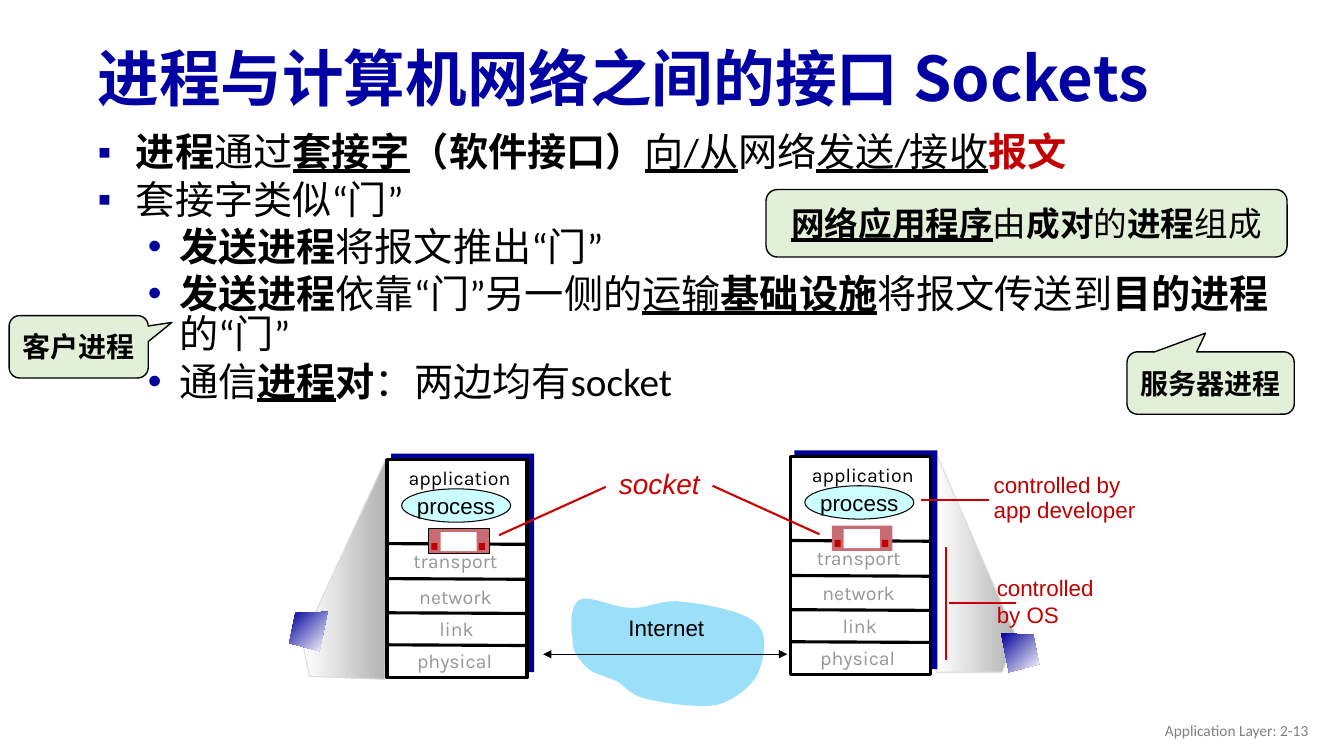
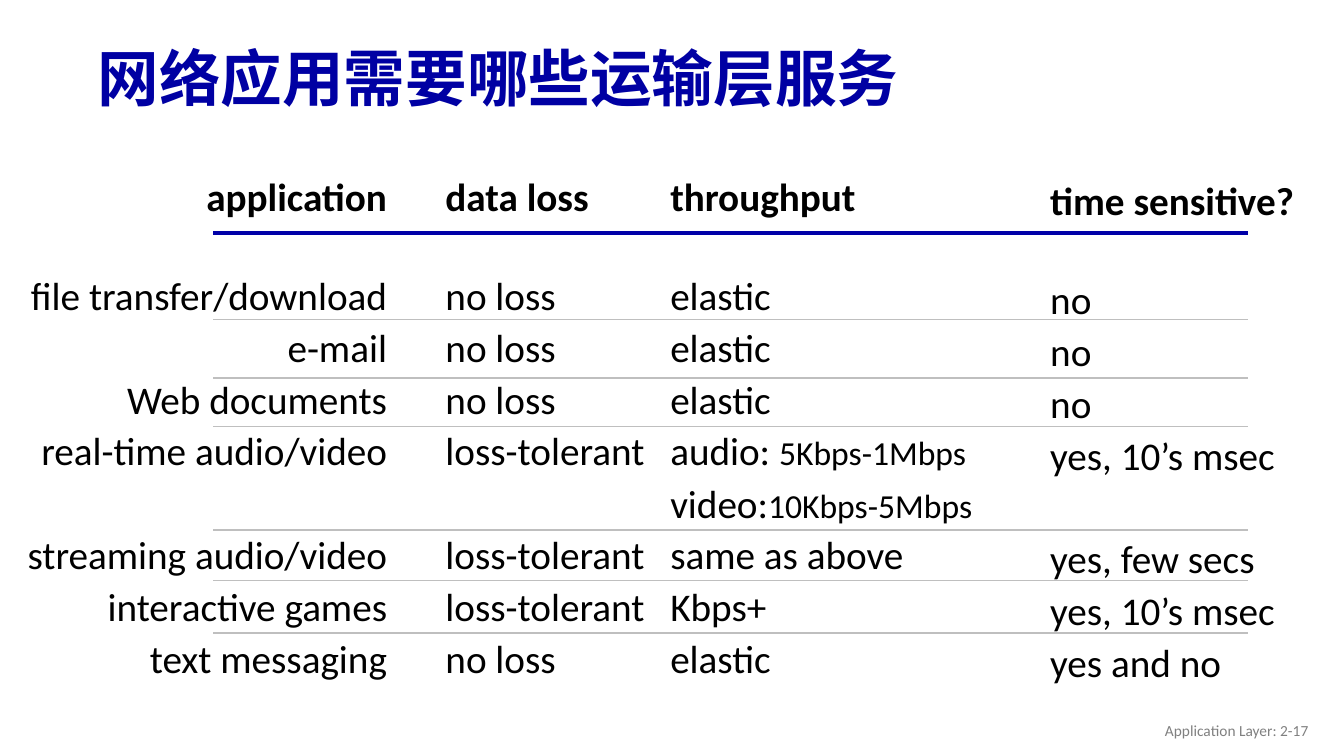
from lxml.etree import SubElement
from pptx import Presentation
from pptx.dml.color import RGBColor
from pptx.enum.shapes import MSO_CONNECTOR, MSO_SHAPE
from pptx.enum.text import MSO_ANCHOR, PP_ALIGN
from pptx.oxml.ns import qn
from pptx.util import Pt

COLORS = {
    "title": "0000A3", "navy": "000099", "rule": "0000A8", "black": "000000",
    "white": "FFFFFF", "red": "C00000", "wire": "CC0000", "muted": "969696",
    "footer": "808080", "row": "BFBFBF", "note": "E2F0D9", "cloud": "9CDFF9",
    "process": "CCFFFF", "door": "C96B72", "shade": "B2B2B2", "edge": "DDDDDD",
}
BULLETS = [("▪", 27.4, 27.4), ("•", 58.3, 22.3)]
MIDDLE = MSO_ANCHOR.MIDDLE
CENTER = PP_ALIGN.CENTER


def write(frame, paragraphs, size, font="Calibri", color="black", bold=False, italic=False,
          align=None, anchor=None, wrap=True, spacing=None, before=0, levels=()):
    if wrap is not None:
        frame.word_wrap = wrap
    if anchor is not None:
        frame.vertical_anchor = anchor
    for index, spans in enumerate(paragraphs):
        para = frame.add_paragraph() if index else frame.paragraphs[0]
        para.alignment = align
        para.line_spacing = spacing
        if index and before:
            para.space_before = Pt(before)
        if levels:
            mark, margin, hanging = BULLETS[levels[index]]
            para.level = levels[index]
            props = para._p.get_or_add_pPr()
            props.set("marL", str(Pt(margin)))
            props.set("indent", str(-Pt(hanging)))
            SubElement(SubElement(props, qn("a:buClr")), qn("a:srgbClr"), val=COLORS["navy"])
            SubElement(props, qn("a:buFont"), typeface="Arial")
            SubElement(props, qn("a:buChar"), char=mark)
        for text, marks, *own_size in [(spans, "")] if isinstance(spans, str) else spans:
            span = para.add_run()
            span.text = text
            span.font.size = Pt(own_size[0] if own_size else size)
            span.font.bold = bold or "b" in marks
            span.font.italic = italic
            span.font.underline = "u" in marks
            span.font.name = font
            span.font.color.rgb = RGBColor.from_string(COLORS["red" if "r" in marks else color])
            SubElement(span._r.get_or_add_rPr(), qn("a:ea"), typeface=font)


def paint(shape, fill=None, line=None, weight=0.75, arrows=False):
    if isinstance(fill, tuple):
        *ends, angle = fill
        shape.fill.gradient()
        shape.fill.gradient_angle = angle
        for stop, color, position in zip(shape.fill.gradient_stops, ends, (0, 1)):
            stop.color.rgb = RGBColor.from_string(COLORS[color])
            stop.position = position
    elif fill:
        shape.fill.solid()
        shape.fill.fore_color.rgb = RGBColor.from_string(COLORS[fill])
    if line:
        shape.line.color.rgb = RGBColor.from_string(COLORS[line])
        shape.line.width = Pt(weight)
    else:
        shape.line.fill.background()
    if arrows:
        for end in ("a:headEnd", "a:tailEnd"):
            SubElement(shape.line._get_or_add_ln(), qn(end), type="triangle")
    SubElement(shape.element.spPr, qn("a:effectLst"))


deck = Presentation()
deck.slide_width, deck.slide_height = Pt(960), Pt(540)
pages = []
for title, number in [("进程与计算机网络之间的接口 Sockets", "2-13"), ("网络应用需要哪些运输层服务", "2-17")]:
    page = deck.slides.add_slide(deck.slide_layouts[6])
    box = page.shapes.add_textbox(*map(Pt, (62.6, 23, 828, 70.6)))
    write(box.text_frame, [title], 44, font="Noto Sans CJK SC", color="title", bold=True,
          anchor=MIDDLE, spacing=0.9)
    box = page.shapes.add_textbox(*map(Pt, (725.8, 507.6, 216, 28.8)))
    write(box.text_frame, [f"Application Layer: {number}"], 11, color="footer",
          align=PP_ALIGN.RIGHT, anchor=MIDDLE)
    pages.append(page)
socket_page, service_page = pages

shapes = socket_page.shapes
box = shapes.add_textbox(*map(Pt, (62.6, 92.9, 863.3, 183.6)))
write(box.text_frame, [
    [("进程", "b"), ("通过", ""), ("套接字", "bu"), ("（软件接口）", "b"), ("向/从", "u"),
     ("网络", ""), ("发送/接收", "u"), ("报文", "br")],
    "套接字类似“门”",
    [("发送进程", "b"), ("将报文推出“门”", "")],
    [("发送进程", "b"), ("依靠“门”另一侧的", ""), ("运输", "u"), ("基础设施", "bu"),
     ("将报文传送到", ""), ("目的进程", "b"), ("的“门”", "")],
    [("通信", ""), ("进程", "bu"), ("对", "b"), ("：两边均有socket", "")],
], 28, spacing=0.85, before=5.2, levels=(0, 0, 1, 1, 1))

cloud_start = (409, 456.5)
cloud_curves = [
    [(407.5, 448.6), (406.8, 432), (414, 428.4)], [(421.2, 424.8), (438.5, 434.2), (450.7, 434.2)],
    [(463, 434.9), (472.3, 427.7), (487.4, 429.8)], [(502.6, 431.3), (531.4, 436.3), (540, 445)],
    [(549.4, 452.9), (545.8, 470.9), (541.4, 481)], [(536.4, 490.3), (525.6, 499.7), (512.6, 503.3)],
    [(499, 506.2), (473, 502), (460.8, 499)], [(449.3, 496), (447, 490.3), (440.6, 486.7)],
    [(433.4, 483), (424, 481.7), (419, 476.6)], [(414, 471.6), (408.2, 465), (409, 456.5)],
]
cloud = [cloud_start]
for first, second, end in cloud_curves:
    start = cloud[-1]
    for step in range(1, 11):
        t = step / 10
        cloud.append(tuple((1 - t) ** 3 * a + 3 * t * (1 - t) ** 2 * b + 3 * t * t * (1 - t) * c + t ** 3 * d
                           for a, b, c, d in zip(start, first, second, end)))

beam = ("white", "shade", 0)
host = ("navy", "white", 315)
outlines = [
    ([(725.8, 455), (668.2, 322.6), (668.9, 480.2), (715.7, 480.2)], beam, "edge"),
    ([(216, 457.9), (275.8, 327.6), (275, 485.3), (221, 483.1)], beam, "edge"),
    (cloud, "cloud", None),
    ([(234, 437), (211, 437.8), (206.6, 459.4), (228.2, 465.1)], host, None),
    ([(715, 452.2), (738, 453.6), (742.3, 474.5), (720.7, 480.2)], host, None),
]
for points, fill, line in outlines:
    points = [(Pt(x), Pt(y)) for x, y in points]
    outline = shapes.build_freeform(*points[0], scale=1.0)
    outline.add_line_segments(points[1:], close=True)
    paint(outline.convert_to_shape(), fill, line)

layers = [("application", 0, -0.7, "black"), ("transport", -3, 58.3, "muted"),
          ("network", -3, 84, "muted"), ("link", -2.2, 107.4, "muted"), ("physical", -3.6, 129.8, "muted")]
door_parts = [(38.2, 59.8, 25.8, 13.6, "white"), (65.5, 59.8 + 7.8, 4.4, 5, "red"), (31.6, 59.8 + 7.8, 4.4, 5, "red")]
for left, top, door_line in [(276.5, 328.3, "black"), (564.5, 326.1, None)]:
    for x, y, width, height, fill, line in [(2.9, -4.3, 102.2, 156.2, "navy", None),
                                            (0, 0, 100, 155.5, "white", "black")]:
        panel = shapes.add_shape(MSO_SHAPE.RECTANGLE, *map(Pt, (left + x, top + y, width, height)))
        paint(panel, fill, line, 2.25)
    for y in (60, 85, 109.4, 132.3):
        divider = shapes.add_connector(MSO_CONNECTOR.STRAIGHT, *map(Pt, (left, top + y, left + 100, top + y + 0.5)))
        paint(divider, line="black", weight=2.25)
    for name, x, y, color in layers:
        box = shapes.add_textbox(*map(Pt, (left + x, top + y, 103.7, 25.9)))
        write(box.text_frame, [name], 14, font="Karla", color=color, align=CENTER, spacing=1.1)
    process = shapes.add_shape(MSO_SHAPE.OVAL, *map(Pt, (left + 10.4, top + 20.9, 77.8, 23.8)))
    paint(process, "process", "black")
    write(process.text_frame, ["process"], 16, font="Arial", align=CENTER, anchor=MIDDLE, wrap=False)
    door = shapes.add_shape(MSO_SHAPE.RECTANGLE, *map(Pt, (left + 29.7, top + 49.4, 43.2, 18)))
    paint(door, "door", door_line)
    for x, y, width, height, fill in door_parts:
        part = shapes.add_shape(MSO_SHAPE.RECTANGLE, *map(Pt, (left + x, top + y - 8, width, height)))
        paint(part, fill)

captions = [
    (["Internet"], (436, 434.9, 80, 26.6), 16, dict(align=CENTER)),
    (["controlled", "by OS"], (704.9, 406.8, 95, 64.8), 16, dict(color="red")),
    (["controlled by", "app developer"], (702.7, 335.5, 130, 41.8), 16, dict(color="red", spacing=0.9)),
    (["socket"], (434.9, 332.6, 85, 28.8), 20, dict(color="wire", italic=True, spacing=0.9)),
]
for lines, place, size, style in captions:
    box = shapes.add_textbox(*map(Pt, place))
    write(box.text_frame, lines, size, font="Arial", **style)

for ends in [(706.3, 357.1, 658, 357.1), (676, 391, 676, 471.6), (725.8, 430.6, 678.2, 430.6),
             (356.4, 382.3, 432.7, 347.8), (585.4, 381.6, 509, 347)]:
    wire = shapes.add_connector(MSO_CONNECTOR.STRAIGHT, *map(Pt, ends))
    paint(wire, line="wire", weight=1.5)
link = shapes.add_connector(MSO_CONNECTOR.STRAIGHT, *map(Pt, (388, 467.3, 562.3, 467.3)))
paint(link, line="black", arrows=True)

CALLOUT = MSO_SHAPE.ROUNDED_RECTANGULAR_CALLOUT
notes = [
    (MSO_SHAPE.ROUNDED_RECTANGLE, (547.2, 135.4, 372.2, 48.2), (), 24,
     [("网络应用程序", "bu"), ("由", ""), ("成对", "b"), ("的", ""), ("进程", "b"), ("组成", "")]),
    (CALLOUT, (6.5, 225.4, 99.4, 44.6), (0.67, -0.39, 0.17), 20, [("客户进程", "b")]),
    (CALLOUT, (805, 251.3, 119.5, 44.6), (-0.03, -0.8, 0.17), 20, [("服务器进程", "b")]),
]
for kind, place, adjustments, size, spans in notes:
    note = shapes.add_shape(kind, *map(Pt, place))
    for index, value in enumerate(adjustments):
        note.adjustments[index] = value
    paint(note, "note", "black", 1)
    write(note.text_frame, [spans], size, align=CENTER, anchor=MIDDLE)

rows = [
    ("application", "data loss", "throughput", "time sensitive?"),
    ("file transfer/download", "no loss", "elastic", "no"),
    ("e-mail", "no loss", "elastic", "no"),
    ("Web documents", "no loss", "elastic", "no"),
    ("real-time audio/video", "loss-tolerant",
     [[("audio: ", ""), ("5Kbps-1Mbps", "", 24)], [("video:", ""), ("10Kbps-5Mbps", "", 24)]],
     "yes, 10’s msec"),
    ("streaming audio/video", "loss-tolerant", "same as above", "yes, few secs"),
    ("interactive games", "loss-tolerant", "Kbps+", "yes, 10’s msec"),
    ("text messaging", "no loss", "elastic", "yes and no"),
]
widths = (301.6, 160.6, 271.4, 217)
heights = (70.6, 37, 37, 37, 74, 37, 37, 37)
shapes = service_page.shapes
table = shapes.add_table(len(rows), len(widths),
                         *map(Pt, (9.4, 124.6, sum(widths), sum(heights)))).table
table.first_row = table.horz_banding = False
for column, width in zip(table.columns, widths):
    column.width = Pt(width)
for row_index, (row, height) in enumerate(zip(rows, heights)):
    table.rows[row_index].height = Pt(height)
    for column_index, content in enumerate(row):
        cell = table.cell(row_index, column_index)
        cell.fill.background()
        cell.margin_left = Pt(7.2)
        cell.margin_right = Pt(0 if column_index else 34.6)
        cell.margin_top = Pt(3 if column_index == 3 else 0)
        cell.margin_bottom = Pt(0)
        write(cell.text_frame, [content] if isinstance(content, str) else content, 28,
              bold=row_index == 0, wrap=None, before=3,
              align=None if column_index else PP_ALIGN.RIGHT)

for y, color, weight in [(166.3, "rule", 2.5)] + [(y, "row", 1.25) for y in (228.2, 270, 304.6, 378.7, 414.7, 452.2)]:
    rule = shapes.add_connector(MSO_CONNECTOR.STRAIGHT, *map(Pt, (152.5, y, 891.4, y)))
    paint(rule, line=color, weight=weight)

deck.save("out.pptx")
